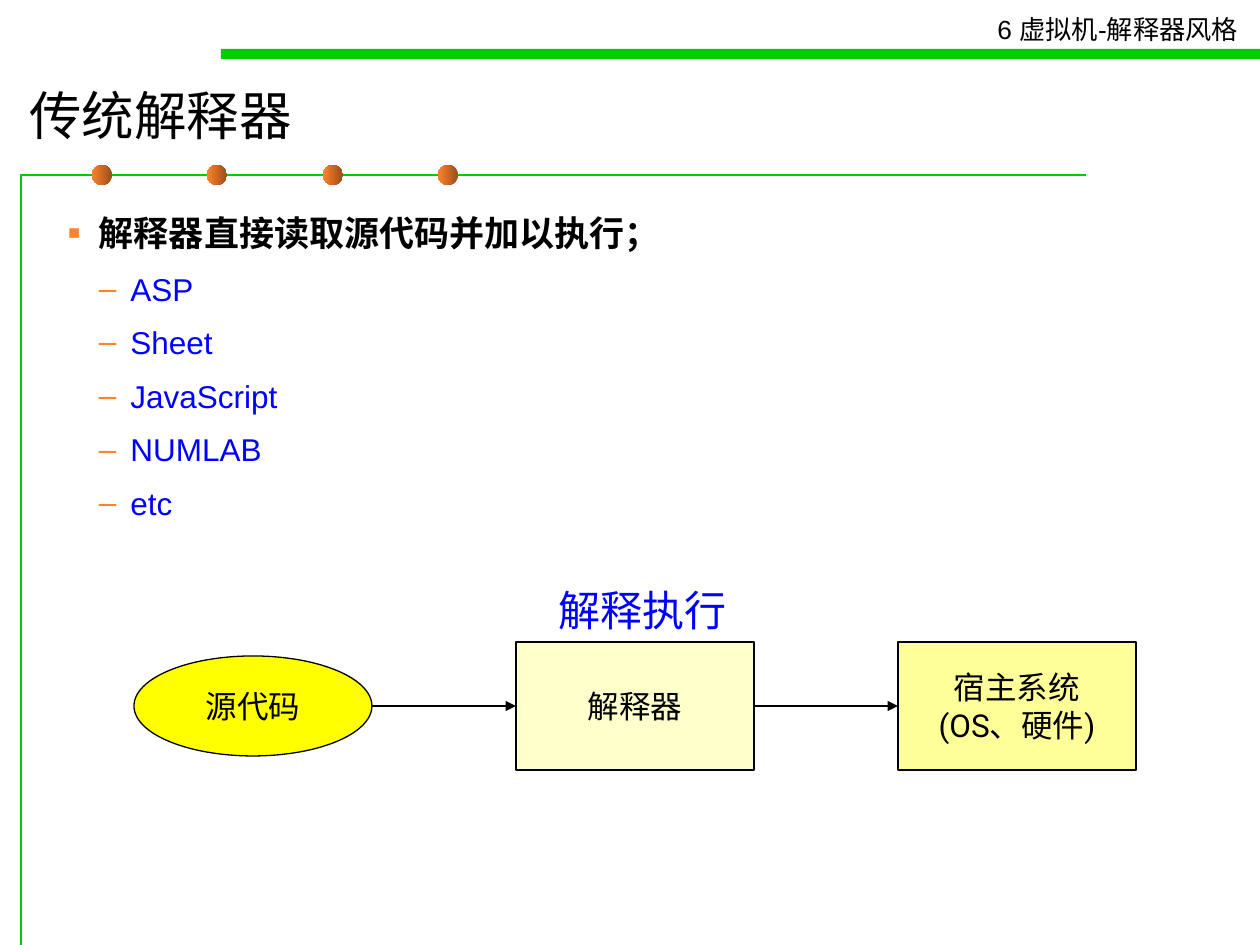
from lxml import etree
from pptx import Presentation
from pptx import util as u
from pptx.dml.color import RGBColor
from pptx.enum import shapes, text
from pptx.oxml.ns import qn

PX = 914400 / 126
LEFT, CENTER = text.PP_ALIGN.LEFT, text.PP_ALIGN.CENTER
RECT, OVAL = shapes.MSO_SHAPE.RECTANGLE, shapes.MSO_SHAPE.OVAL


def rgb(c):
    return RGBColor.from_string(c)


def write(sp, lines, size, font, color, align=LEFT, wrap=False):
    tf = sp.text_frame
    tf.word_wrap = wrap
    tf.text = "\n".join(lines)
    for p in tf.paragraphs:
        p.alignment = align
        for r in p.runs:
            r.font.size = u.Pt(size)
            r.font.name = font
            r.font.color.rgb = rgb(color)
    return tf


prs = Presentation()
prs.slide_width, prs.slide_height = u.Inches(10), u.Inches(7.5)
s = prs.slides.add_slide(prs.slide_layouts[6])

fb = s.shapes.build_freeform(21, 945, scale=PX)
fb.add_line_segments([(21, 175), (1086, 175)], close=False)
frame = fb.convert_to_shape()
frame.shadow.inherit = False
frame.fill.background()
frame.line.color.rgb = rgb("00CC00")
frame.line.width = u.Pt(0.75)

for x in (92, 207, 323, 438):
    dot = s.shapes.add_shape(OVAL, *[int(v * PX) for v in (x, 165, 20, 20)])
    dot.shadow.inherit = False
    dot.line.fill.background()
    dot.fill.gradient()
    dot.fill.gradient_angle = 180
    for stop, c in zip(dot.fill.gradient_stops, ("9A4E1B", "FF822D")):
        stop.color.rgb = rgb(c)

bar = s.shapes.add_shape(RECT, *[int(v * PX) for v in (221, 49, 1039, 10)])
bar.shadow.inherit = False
bar.fill.solid()
bar.fill.fore_color.rgb = rgb("00CC00")
bar.line.fill.background()

for box, label, size, font, color in [
    ((985, 7, 285, 44), "6 虚拟机-解释器风格", 15, "Arial", "000000"),
    ((17, 70, 1171, 90), "传统解释器", 30, "Arial", "000000"),
    ((546, 578, 193, 63), "解释执行", 24, "Roboto", "0000FF"),
]:
    tb = s.shapes.add_textbox(*[int(v * PX) for v in box])
    tf = write(tb, [label], size, font, color)
    if size == 30:
        tf.word_wrap = True
        tf.vertical_anchor = text.MSO_ANCHOR.MIDDLE

body = s.shapes.add_textbox(*[int(v * PX) for v in (55, 205, 1131, 704)])
items = ["解释器直接读取源代码并加以执行；", "ASP", "Sheet", "JavaScript", "NUMLAB", "etc"]
tf = write(body, items, 18, "Arial", "0000FF", wrap=True)
for i, p in enumerate(tf.paragraphs):
    p.level = min(i, 1)
    p.space_before = u.Pt(5.6 if i else 0)
    p.space_after = u.Pt(3.4 if i else 3.7)
    pPr = p._p.get_or_add_pPr()
    pPr.set("marL", str(u.Inches(0.5 if i else 0.25)))
    pPr.set("indent", str(u.Inches(-0.25)))
    clr = etree.SubElement(pPr, qn("a:buClr"))
    etree.SubElement(clr, qn("a:srgbClr"), val="FF822D")
    etree.SubElement(pPr, qn("a:buSzPct"), val="100000" if i else "110000")
    etree.SubElement(pPr, qn("a:buFont"), typeface="Arial")
    etree.SubElement(pPr, qn("a:buChar"), char="–" if i else "▪")
head = tf.paragraphs[0].runs[0].font
head.size, head.bold, head.color.rgb = u.Pt(20), True, rgb("000000")

nodes = []
for kind, x, y, h, fill, lines in [
    (OVAL, 134, 656, 100, "FFFF00", ["源代码"]),
    (RECT, 516, 642, 128, "FFFFCC", ["解释器"]),
    (RECT, 898, 642, 128, "FFFF99", ["宿主系统", "(OS、硬件)"]),
]:
    sp = s.shapes.add_shape(kind, *[int(v * PX) for v in (x, y, 238, h)])
    sp.shadow.inherit = False
    sp.fill.solid()
    sp.fill.fore_color.rgb = rgb(fill)
    sp.line.color.rgb = rgb("000000")
    sp.line.width = u.Pt(0.75)
    tf = write(sp, lines, 18, "Roboto", "000000", CENTER)
    tf.vertical_anchor = text.MSO_ANCHOR.MIDDLE
    nodes.append(sp)

for a, b, site in zip(nodes, nodes[1:], (6, 3)):
    y = a.top + a.height // 2
    cx = s.shapes.add_connector(shapes.MSO_CONNECTOR.STRAIGHT, a.left + a.width, y, b.left, y)
    if site == 3:
        cx.begin_connect(a, site)
    cx.end_connect(b, 1)
    cx.line.color.rgb = rgb("000000")
    cx.line.width = u.Pt(0.75)
    spPr = cx._element.spPr
    etree.SubElement(spPr.find(qn("a:ln")), qn("a:tailEnd"), type="triangle")
    etree.SubElement(spPr, qn("a:effectLst"))

prs.save("out.pptx")
